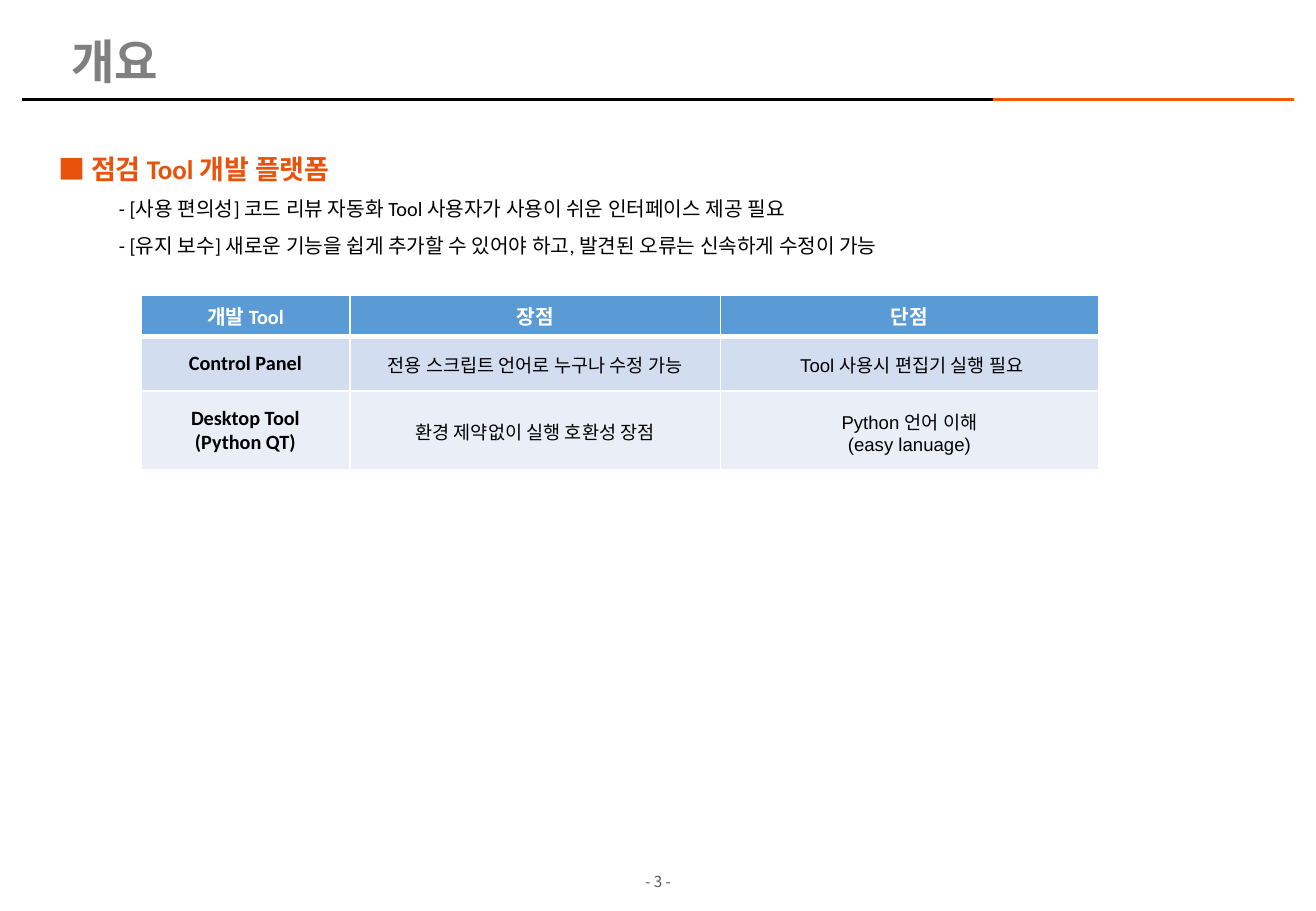
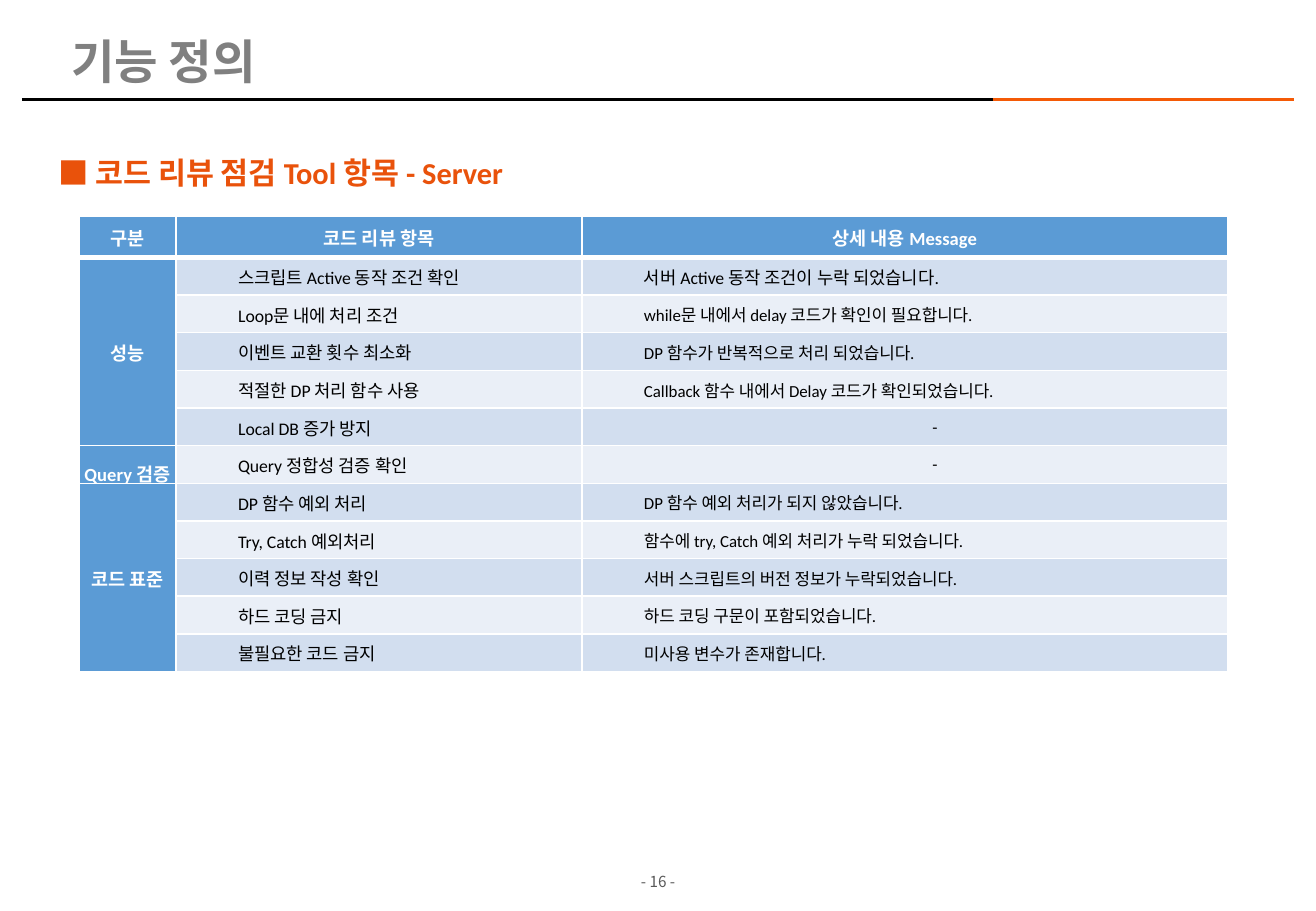
from dataclasses import dataclass, replace
from itertools import accumulate

from lxml.etree import SubElement as Sub
from pptx import Presentation
from pptx.dml.color import RGBColor as Rgb
from pptx.enum.shapes import MSO_CONNECTOR as Link
from pptx.enum.text import MSO_ANCHOR as Anchor, MSO_AUTO_SIZE as Auto, PP_ALIGN as Align
from pptx.oxml.ns import qn
from pptx.util import Inches, Pt


@dataclass(frozen=True)
class Style:
    """Look of one paragraph and the margins of its cell."""

    size: float
    color: str = "000000"
    font: str = "Calibri"
    bold: bool = False
    align: Align = Align.LEFT
    space: float = 1.0
    indent: float = 0
    tight: bool = False


@dataclass(frozen=True)
class Theme:
    """Colours and type of the deck."""

    black: str = "000000"
    orange: str = "F45A06"
    white: str = "FFFFFF"
    blue: str = "5B9BD5"
    bands: tuple = ("D2DEEF", "EAEFF7")
    asian: str = "Noto Sans CJK KR"
    title: Style = Style(28, "808080", "Arial", True, space=0.9)
    head: Style = Style(16, "E9520B", bold=True, space=1.5)
    point: Style = Style(12, space=1.5, indent=0.5)
    foot: Style = Style(9, "595959", "Noto Sans CJK KR", align=Align.CENTER)
    label: Style = Style(12, "FFFFFF", bold=True, align=Align.CENTER)
    tool: Style = Style(12, bold=True, align=Align.CENTER)
    trait: Style = Style(11, font="Arial", align=Align.CENTER, tight=True)
    group: Style = Style(11, "FFFFFF", bold=True, align=Align.CENTER, tight=True)
    item: Style = Style(10.5, indent=0.5, tight=True)


THEME = Theme()


def write(para, text, style):
    """Add the lines of a text to a paragraph, run by run."""
    para.alignment, para.line_spacing = style.align, style.space
    if style.indent:
        para.level = 1
        props = para._p.get_or_add_pPr()
        props.set("marL", str(Inches(style.indent)))
        props.set("indent", "0")
    for num, line in enumerate(text.split("\n")):
        if num:
            para.add_line_break()
        run = para.add_run()
        run.text = line
        font = run.font
        font.name, font.size, font.bold = style.font, Pt(style.size), style.bold
        font.color.rgb = Rgb.from_string(style.color)
        Sub(run._r.get_or_add_rPr(), qn("a:ea"), typeface=THEME.asian)


def add_text(slide, box, parts, anchor=Anchor.TOP, grow=False):
    """Place a text box with one paragraph for each text and style."""
    frame = slide.shapes.add_textbox(*map(Inches, box)).text_frame
    frame.word_wrap, frame.vertical_anchor = True, anchor
    frame.auto_size = Auto.SHAPE_TO_FIT_TEXT if grow else Auto.NONE
    for num, (text, style) in enumerate(parts):
        write(frame.add_paragraph() if num else frame.paragraphs[0], text, style)


def add_rule(slide, left, right, top, color):
    """Draw a level rule."""
    ends = map(Inches, (left, top, right, top))
    rule = slide.shapes.add_connector(Link.STRAIGHT, *ends)
    rule.line.color.rgb, rule.line.width = Rgb.from_string(color), Pt(2.25)
    Sub(rule._element.spPr, qn("a:effectLst"))


def add_frame(deck, title, page):
    """Add a slide with its title, rules and page number."""
    slide = deck.slides.add_slide(deck.slide_layouts[6])
    add_text(slide, (5.02, 7.13, 0.79, 0.28), [(f"- {page} -", THEME.foot)])
    add_rule(slide, 0.18, 10.02, 0.82, THEME.black)
    add_rule(slide, 8.17, 10.65, 0.82, THEME.orange)
    add_text(slide, (0.49, 0.25, 7.5, 0.55), [(title, THEME.title)], Anchor.MIDDLE)
    return slide


def fill_cell(cell, texts, style, color, row):
    """Set the borders, fill and paragraphs of a cell."""
    props = cell._tc.get_or_add_tcPr()
    for side in "LRTB":
        thick = (row, side) in ((0, "B"), (1, "T"))
        line = Sub(props, qn(f"a:ln{side}"), w=str(Pt(3 if thick else 1)))
        paint = Sub(line, qn("a:solidFill"))
        Sub(paint, qn("a:srgbClr"), val=THEME.white)
    cell.fill.solid()
    cell.fill.fore_color.rgb = Rgb.from_string(color)
    cell.vertical_anchor = Anchor.MIDDLE
    if style.tight:
        cell.margin_left = cell.margin_right = cell.margin_top = Inches(0.01)
        cell.margin_bottom = 0
    for num, text in enumerate(texts):
        para = cell.text_frame.add_paragraph() if num else cell.text_frame.paragraphs[0]
        write(para, text, style)


def add_grid(slide, left, top, cols, rows):
    """Add a plain table with the given column and row sizes."""
    box = map(Inches, (left, top, sum(cols), sum(rows)))
    grid = slide.shapes.add_table(len(rows), len(cols), *box).table
    grid.horz_banding = False
    for col, width in zip(grid.columns, cols):
        col.width = Inches(width)
    for row, height in zip(grid.rows, rows):
        row.height = Inches(height)
    return grid


def add_tools(slide, left, top):
    """Place the table that weighs the tools."""
    data = [
        (["개발 Tool"], ["장점"], ["단점"]),
        (["Control Panel"], ["전용 스크립트 언어로 누구나 수정 가능"], [" Tool 사용시 편집기 실행 필요"]),
        (["Desktop Tool", "(Python QT)"], ["환경 제약없이 실행 호환성 장점"],
         ["Python 언어 이해", "(easy lanuage)"]),
    ]
    grid = add_grid(slide, left, top, (1.72, 3.05, 3.11), (0.34, 0.45, 0.65))
    for row, cells in enumerate(data):
        color = THEME.bands[(row - 1) % 2] if row else THEME.blue
        for col, texts in enumerate(cells):
            style = THEME.label if not row else THEME.trait if col else THEME.tool
            fill_cell(grid.cell(row, col), texts, style, color, row)


def add_checks(slide, left, top):
    """Place the table of review items, grouped by kind."""
    groups = [
        ("성능", [
            ("스크립트 Active 동작 조건 확인", "서버 Active 동작 조건이 누락 되었습니다."),
            ("Loop문 내에 처리 조건", "while문 내에서 delay 코드가 확인이 필요합니다."),
            ("이벤트 교환 횟수 최소화", "DP 함수가 반복적으로 처리 되었습니다."),
            ("적절한 DP 처리 함수 사용", "Callback 함수 내에서 Delay 코드가 확인되었습니다."),
            ("Local DB 증가 방지", "-"),
        ]),
        ("Query 검증", [("Query 정합성 검증 확인", "-")]),
        ("코드 표준", [
            ("DP 함수 예외 처리", "DP 함수 예외 처리가 되지 않았습니다."),
            ("Try, Catch 예외처리", "함수에 try, Catch 예외 처리가 누락 되었습니다."),
            ("이력 정보 작성 확인", "서버 스크립트의 버전 정보가 누락되었습니다."),
            ("하드 코딩 금지", "하드 코딩 구문이 포함되었습니다."),
            ("불필요한 코드 금지", "미사용 변수가 존재합니다."),
        ]),
    ]
    sizes = [len(items) for _, items in groups]
    starts = accumulate(sizes[:-1], initial=1)
    grid = add_grid(slide, left, top, (0.8, 3.34, 5.31), [0.34] + [0.31] * sum(sizes))
    for col, text in enumerate(("구분", "코드 리뷰 항목", "상세 내용 Message")):
        fill_cell(grid.cell(0, col), [text], THEME.group, THEME.blue, 0)
    for start, (name, items) in zip(starts, groups):
        if len(items) > 1:
            grid.cell(start, 0).merge(grid.cell(start + len(items) - 1, 0))
        kind = replace(THEME.group, space=1.5 if len(items) == 1 else 1.0)
        for row, (item, note) in enumerate(items, start):
            band = THEME.bands[(row - 1) % 2]
            align = Align.CENTER if note == "-" else Align.LEFT
            look = replace(THEME.item, size=10.5 if row == 1 else 10, align=align)
            fill_cell(grid.cell(row, 0), [name] if row == start else [], kind, THEME.blue, row)
            fill_cell(grid.cell(row, 1), [item], THEME.item, band, row)
            fill_cell(grid.cell(row, 2), [note], look, band, row)


def main():
    """Build and save the deck."""
    deck = Presentation()
    deck.slide_width, deck.slide_height = Inches(10.83), Inches(7.5)

    slide = add_frame(deck, "개요", 3)
    points = (
        "- [사용 편의성] 코드 리뷰 자동화 Tool 사용자가 사용이 쉬운 인터페이스 제공 필요\n"
        "- [유지 보수] 새로운 기능을 쉽게 추가할 수 있어야 하고, 발견된 오류는 신속하게 수정이 가능"
    )
    parts = [("■ 점검 Tool 개발 플랫폼", THEME.head), (points, THEME.point)]
    add_text(slide, (0.38, 1.07, 10.22, 1.08), parts, grow=True)
    add_tools(slide, 1.16, 2.43)

    slide = add_frame(deck, "기능 정의", 16)
    parts = [("■ 코드 리뷰 점검 Tool 항목 - Server", replace(THEME.head, size=18))]
    add_text(slide, (0.38, 1.07, 10.22, 0.56), parts, grow=True)
    add_checks(slide, 0.65, 1.78)

    deck.save("out.pptx")


if __name__ == "__main__":
    main()
